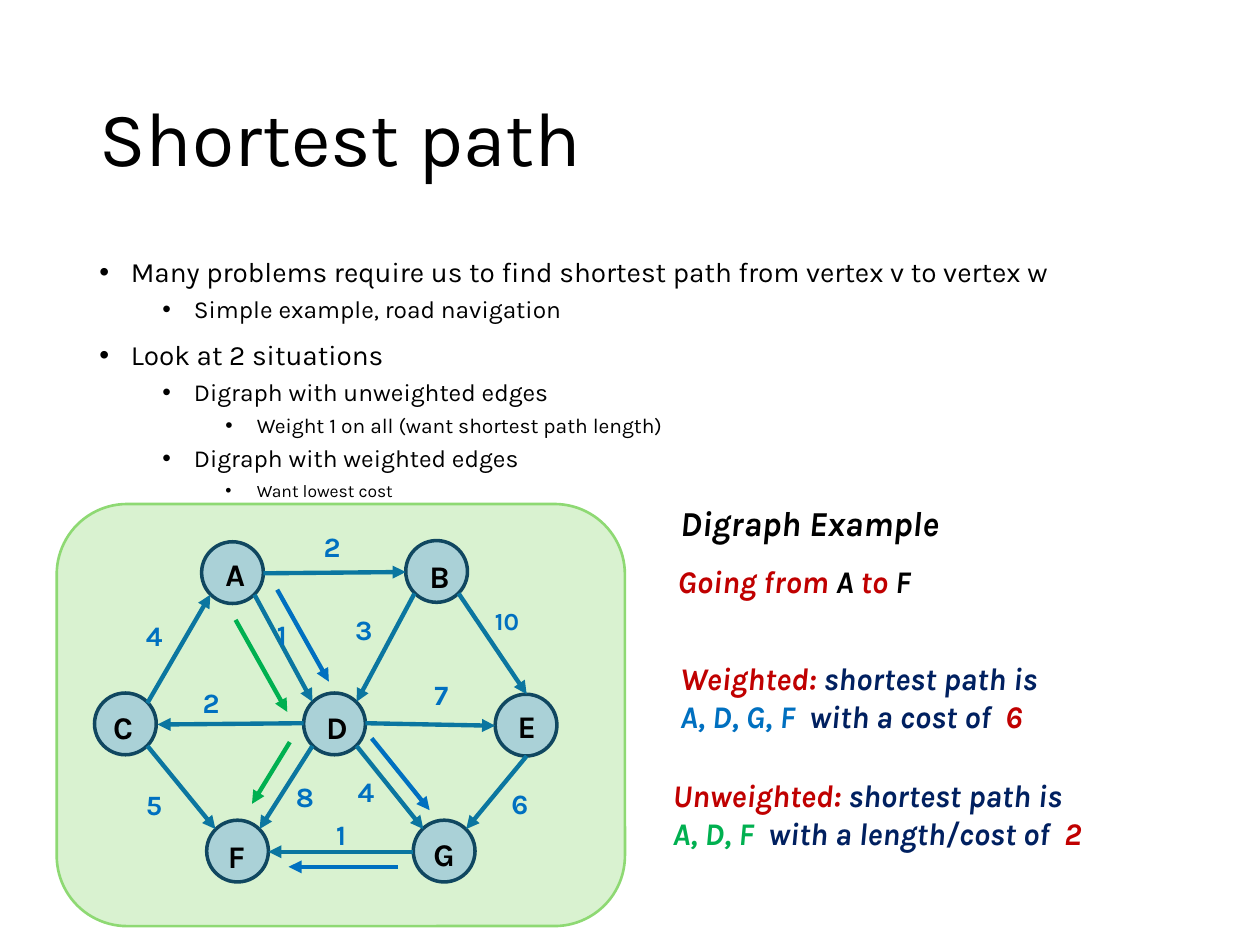
from lxml import etree
from pptx import Presentation
from pptx.dml.color import RGBColor as RGB
from pptx.enum.shapes import MSO_CONNECTOR as Link, MSO_SHAPE as Form
from pptx.enum.text import MSO_ANCHOR as Anchor
from pptx.oxml.ns import qn
from pptx.util import Pt

PX = 9144  # EMU per px, 100 px to the inch
FONT = "Karla"
BLACK = RGB(0x00, 0x00, 0x00)
RED = RGB(0xC0, 0x00, 0x00)
NAVY = RGB(0x00, 0x20, 0x60)
BLUE = RGB(0x00, 0x70, 0xC0)
GREEN = RGB(0x00, 0xB0, 0x50)
TEAL = RGB(0x0B, 0x76, 0xA0)
RIM = RGB(0x10, 0x47, 0x60)
DISC = RGB(0x71, 0xAA, 0xE0)
PALE = RGB(0xD9, 0xF2, 0xD0)
LEAF = RGB(0x8E, 0xD9, 0x73)

deck = Presentation()
deck.slide_width, deck.slide_height = 1000 * PX, 750 * PX
slide = deck.slides.add_slide(deck.slide_layouts[6])
shapes = slide.shapes


def put(text, box, size=18, color=BLACK, bold=False, italic=False,
        anchor=Anchor.TOP, lead=1.0):
    """Add a text box; text is a string or lines of (words, colour) runs."""
    frame = shapes.add_textbox(*[n * PX for n in box]).text_frame
    frame.word_wrap = True
    frame.vertical_anchor = anchor
    lines = [[(text, color)]] if isinstance(text, str) else text
    for i, line in enumerate(lines):
        para = frame.paragraphs[0] if i == 0 else frame.add_paragraph()
        para.line_spacing = lead
        for words, tint in line:
            run = para.add_run()
            run.text = words
            font = run.font
            font.name, font.size = FONT, Pt(size)
            font.bold, font.italic = bold, italic
            font.color.rgb = tint
    return frame


def arrow(x1, y1, x2, y2, color):
    line = shapes.add_connector(Link.STRAIGHT, x1 * PX, y1 * PX, x2 * PX, y2 * PX)
    line.line.color.rgb = color
    line.line.width = Pt(2.5)
    etree.SubElement(line.line._get_or_add_ln(), qn("a:tailEnd"), type="triangle")
    etree.SubElement(line._element.spPr, qn("a:effectLst"))


# Title
put("Shortest path", (69, 40, 862, 145), size=44, anchor=Anchor.MIDDLE, lead=0.9)

# Bullets: level, size, text
points = [
    (0, 16, "Many problems require us to find shortest path from vertex v to vertex w"),
    (1, 14, "Simple example, road navigation"),
    (0, 16, "Look at 2 situations"),
    (1, 14, "Digraph with unweighted edges"),
    (2, 12, "Weight 1 on all (want shortest path length)"),
    (1, 14, "Digraph with weighted edges"),
    (2, 10, "Want lowest cost"),
]
body = put([[(text, BLACK)] for _, _, text in points], (69, 200, 862, 476), lead=0.9)
for para, (level, size, _) in zip(body.paragraphs, points):
    para.level = level
    para.space_before = Pt(5 if level else 10)
    para.runs[0].font.size = Pt(size)
    props = para._p.get_or_add_pPr()
    props.set("marL", str((25 + 50 * level) * PX))
    props.set("indent", str(-25 * PX))
    etree.SubElement(props, qn("a:buFont"), typeface="Arial")
    etree.SubElement(props, qn("a:buChar"), char="•")

# Graph panel
panel = shapes.add_shape(Form.ROUNDED_RECTANGLE, 45 * PX, 400 * PX, 451 * PX, 335 * PX)
panel.shadow.inherit = False
panel.fill.solid()
panel.fill.fore_color.rgb = PALE
panel.line.color.rgb = LEAF
panel.line.width = Pt(1.5)

# Nodes: name, circle corner, letter box
nodes = [
    ("A", 160, 430, (169, 436, 28, 40)),
    ("B", 322, 429, (331, 437, 27, 40)),
    ("C", 75, 550, (80, 557, 33, 41)),
    ("D", 241, 550, (249, 557, 28, 40)),
    ("E", 393, 551, (401, 556, 29, 40)),
    ("F", 164, 651, (171, 659, 35, 40)),
    ("G", 328, 651, (334, 658, 35, 40)),
]
for name, x, y, box in nodes:
    node = shapes.add_shape(Form.OVAL, x * PX, y * PX, 49 * PX, 49 * PX)
    node.shadow.inherit = False
    node.fill.solid()
    node.fill.fore_color.rgb = DISC
    tint = node._element.spPr.find(qn("a:solidFill"))[0]
    etree.SubElement(tint, qn("a:alpha"), val="45000")
    node.line.color.rgb = RIM
    node.line.width = Pt(2)
    put(name, box, bold=True)

# Edges: ends, weight, weight box
edges = [
    ((209, 455, 322, 454), "2", (247, 415, 30, 37)),  # A to B
    ((202, 472, 248, 557), "1", (210, 485, 34, 37)),  # A to D
    ((329, 471, 283, 557), "3", (272, 481, 43, 39)),  # B to D
    ((364, 471, 418, 551), "10", (383, 476, 56, 34)),  # B to E
    ((117, 558, 167, 472), "4", (106, 486, 28, 37)),  # C to A
    ((117, 592, 171, 658), "5", (106, 620, 43, 39)),  # C to F
    ((241, 574, 125, 575), "2", (151, 539, 43, 39)),  # D to C
    ((290, 574, 393, 576), "7", (335, 533, 43, 39)),  # D to E
    ((248, 592, 206, 658), "8", (225, 614, 43, 39)),  # D to F
    ((283, 592, 336, 658), "4", (274, 610, 34, 37)),  # D to G
    ((418, 600, 370, 658), "6", (396, 619, 39, 37)),  # E to G
    ((328, 676, 213, 676), "1", (257, 644, 34, 37)),  # G to F
]
for ends, cost, box in edges:
    arrow(*ends, TEAL)
    put(cost, box, size=14 if len(cost) > 1 else 16, color=BLUE, bold=True)

# Shortest paths: weighted in blue, unweighted in green
paths = {
    BLUE: [(220, 468, 261, 541), (295, 586, 341, 643), (316, 688, 229, 688)],
    GREEN: [(187, 492, 228, 565), (230, 589, 200, 638)],
}
for color, steps in paths.items():
    for ends in steps:
        arrow(*ends, color)

# Notes beside the graph
notes = [
    ((530, 393, 323, 44), 20, [[("Digraph Example", BLACK)]]),
    ((528, 441, 323, 40), 18,
     [[("Going from ", RED), ("A", BLACK), (" to ", RED), ("F", BLACK)]]),
    ((530, 518, 467, 71), 18,
     [[("Weighted: ", RED), ("shortest path is", NAVY)],
      [("A, D, G, F  ", BLUE), ("with a cost of  ", NAVY), ("6", RED)]]),
    ((524, 611, 467, 71), 18,
     [[("Unweighted: ", RED), ("shortest path is", NAVY)],
      [("A, D, F  ", GREEN), ("with a length/cost of  ", NAVY), ("2", RED)]]),
]
for box, size, lines in notes:
    put(lines, box, size=size, bold=True, italic=True)

deck.save("out.pptx")
